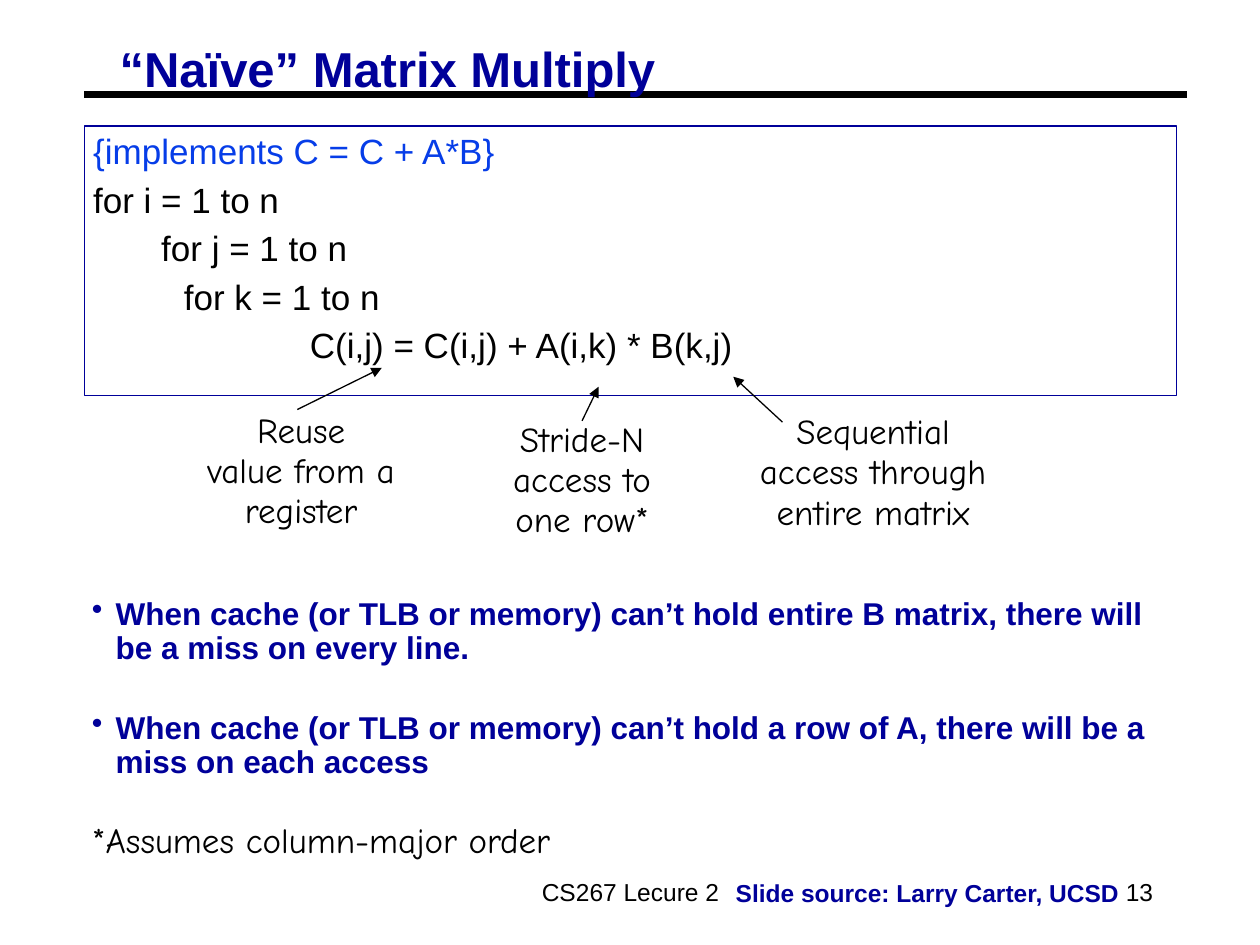
import pptx
import pptx.dml.color
import pptx.enum.shapes
import pptx.enum.text
import pptx.oxml.ns
import pptx.util
from lxml import etree
from pptx.util import Inches

NAVY = pptx.dml.color.RGBColor(0x00, 0x00, 0x99)
BLUE = pptx.dml.color.RGBColor(0x06, 0x3D, 0xE8)
BLACK = pptx.dml.color.RGBColor(0x00, 0x00, 0x00)

ALIGN = pptx.enum.text.PP_ALIGN
ANCHOR = pptx.enum.text.MSO_ANCHOR

TITLE = {"name": "Arial", "size": 28, "bold": True, "color": NAVY}
CODE = {"name": "Arial", "size": 20, "color": BLACK}
COMMENT = {**CODE, "color": BLUE}
HAND = {"name": "Comic Neue", "size": 20, "color": BLACK}
POINT = {"name": "Arial", "size": 18, "bold": True, "color": NAVY}
FOOTER = {"name": "Arial", "size": 14, "color": BLACK}
CREDIT = {**FOOTER, "bold": True, "color": NAVY}

CODE_LINES = [
    ("{implements C = C + A*B}", COMMENT),
    ("for i = 1 to n", CODE),
    ("       for j = 1 to n", CODE),
    ("\t\tfor k = 1 to n", CODE),
    ("           \t\tC(i,j) = C(i,j) + A(i,k) * B(k,j)", CODE),
]
CALLOUTS = [
    (1.54, 3.27, 1.7, ["Reuse", "value from a", "register"]),
    (3.97, 3.34, 1.3, ["Stride-N", "access to", "one row*"]),
    (5.93, 3.28, 2, ["Sequential", "access through", "entire matrix"]),
]
POINTS = [
    "When cache (or TLB or memory) can’t hold entire B matrix, there will be a miss on every line.",
    "When cache (or TLB or memory) can’t hold a row of A, there will be a miss on each access",
]


def add_child(parent, tag, **attributes):
    child = etree.SubElement(parent, pptx.oxml.ns.qn(tag))
    for name, value in attributes.items():
        child.set(name, str(value))
    return child


def set_hanging(para, indent):
    properties = para._p.get_or_add_pPr()
    properties.set("marL", str(Inches(indent)))
    properties.set("indent", str(Inches(-indent)))
    return properties


def add_bullet(para, color):
    properties = para._p.get_or_add_pPr()
    add_child(add_child(properties, "a:buClr"), "a:srgbClr", val=color)
    add_child(properties, "a:buChar", char="•")


def add_inch_tabs(para):
    tabs = add_child(para._p.get_or_add_pPr(), "a:tabLst")
    for inch in range(8):
        add_child(tabs, "a:tab", pos=Inches(inch), algn="l")


def write(para, text, style, **layout):
    """Add one styled run and set the paragraph attributes given in layout."""
    for name, value in layout.items():
        setattr(para, name, value)
    span = para.add_run()
    span.text = text
    for name, value in style.items():
        if name == "color":
            span.font.color.rgb = value
        else:
            setattr(span.font, name, pptx.util.Pt(value) if name == "size" else value)


def next_para(frame, index):
    return frame.add_paragraph() if index else frame.paragraphs[0]


def set_frame(frame, inset_x=0.1, inset_y=0.05, wrap=True, anchor=ANCHOR.TOP):
    values = {
        "margin_left": Inches(inset_x), "margin_right": Inches(inset_x),
        "margin_top": Inches(inset_y), "margin_bottom": Inches(inset_y),
        "word_wrap": wrap, "vertical_anchor": anchor,
    }
    for name, value in values.items():
        setattr(frame, name, value)


def add_text_box(page, left, top, width, height, **frame_format):
    box = page.shapes.add_textbox(Inches(left), Inches(top), Inches(width), Inches(height))
    set_frame(box.text_frame, **frame_format)
    return box


def add_line(page, start, end, weight, arrow=False):
    line = page.shapes.add_connector(
        pptx.enum.shapes.MSO_CONNECTOR.STRAIGHT, *map(Inches, start + end))
    line.line.color.rgb = BLACK
    line.line.width = pptx.util.Pt(weight)
    if arrow:
        add_child(line.line._get_or_add_ln(), "a:tailEnd", type="triangle")
    add_child(line._element.spPr, "a:effectLst")
    return line


def add_title(page):
    add_line(page, (0.67, 0.75), (9.42, 0.75), 3.75)
    box = add_text_box(page, 0.88, 0.34, 4.4, 0.46, inset_x=0.07, inset_y=0.03, wrap=False)
    write(box.text_frame.paragraphs[0], "“Naïve” Matrix Multiply", TITLE, line_spacing=0.87)


def add_code_box(page):
    box = page.shapes.add_shape(
        pptx.enum.shapes.MSO_SHAPE.RECTANGLE,
        Inches(0.67), Inches(1), Inches(8.67), Inches(2.14))
    box.shadow.inherit = False
    box.fill.background()
    box.line.color.rgb = NAVY
    box.line.width = pptx.util.Pt(0.75)
    set_frame(box.text_frame, inset_x=0.07, inset_y=0.03)
    for index, (text, style) in enumerate(CODE_LINES):
        para = next_para(box.text_frame, index)
        set_hanging(para, 0.22)
        add_inch_tabs(para)
        write(para, text, style, alignment=ALIGN.LEFT,
              space_before=pptx.util.Pt(3.7 if index else 0))


def add_callout(page, left, top, width, lines):
    box = add_text_box(page, left, top, width, 0.99, wrap=False)
    for index, text in enumerate(lines):
        write(next_para(box.text_frame, index), text, HAND, alignment=ALIGN.CENTER,
              line_spacing=0.75, space_before=pptx.util.Pt(5 if index else 0))
    return box


def add_points(page):
    frame = add_text_box(page, 0.63, 4.7, 8.65, 2.2).text_frame
    for index, text in enumerate(POINTS):
        para = next_para(frame, index)
        set_hanging(para, 0.19)
        add_bullet(para, NAVY)
        write(para, text, POINT, line_spacing=0.9,
              space_before=pptx.util.Pt(26 if index else 0))
    para = frame.add_paragraph()
    set_hanging(para, 0.19)
    write(para, "*Assumes column-major order", HAND, line_spacing=0.75,
          space_before=pptx.util.Pt(27.5))


def add_footer(page):
    credit = add_text_box(page, 5.74, 6.92, 3.25, 0.34, wrap=False)
    write(credit.text_frame.paragraphs[0], "Slide source: Larry Carter, UCSD", CREDIT)
    for left, width, text, alignment in [
        (3.42, 3.17, "CS267 Lecure 2", ALIGN.CENTER),
        (7.17, 2.08, "13", ALIGN.RIGHT),
    ]:
        box = add_text_box(page, left, 6.83, width, 0.5, anchor=ANCHOR.MIDDLE)
        write(box.text_frame.paragraphs[0], text, FOOTER, alignment=alignment)


def main():
    deck = pptx.Presentation()
    deck.slide_width, deck.slide_height = Inches(10), Inches(7.5)
    page = deck.slides.add_slide(deck.slide_layouts[6])
    add_title(page)
    add_code_box(page)
    reuse, stride, sequential = [add_callout(page, *callout) for callout in CALLOUTS]
    add_line(page, (2.36, 3.25), (3.03, 2.92), 0.75, arrow=True)
    stride_arrow = add_line(page, (4.62, 3.34), (4.75, 3.07), 0.75, arrow=True)
    stride_arrow.begin_connect(stride, 0)
    add_line(page, (6.21, 3.35), (5.82, 2.99), 0.75, arrow=True)
    add_points(page)
    add_footer(page)
    deck.save("out.pptx")


if __name__ == "__main__":
    main()
